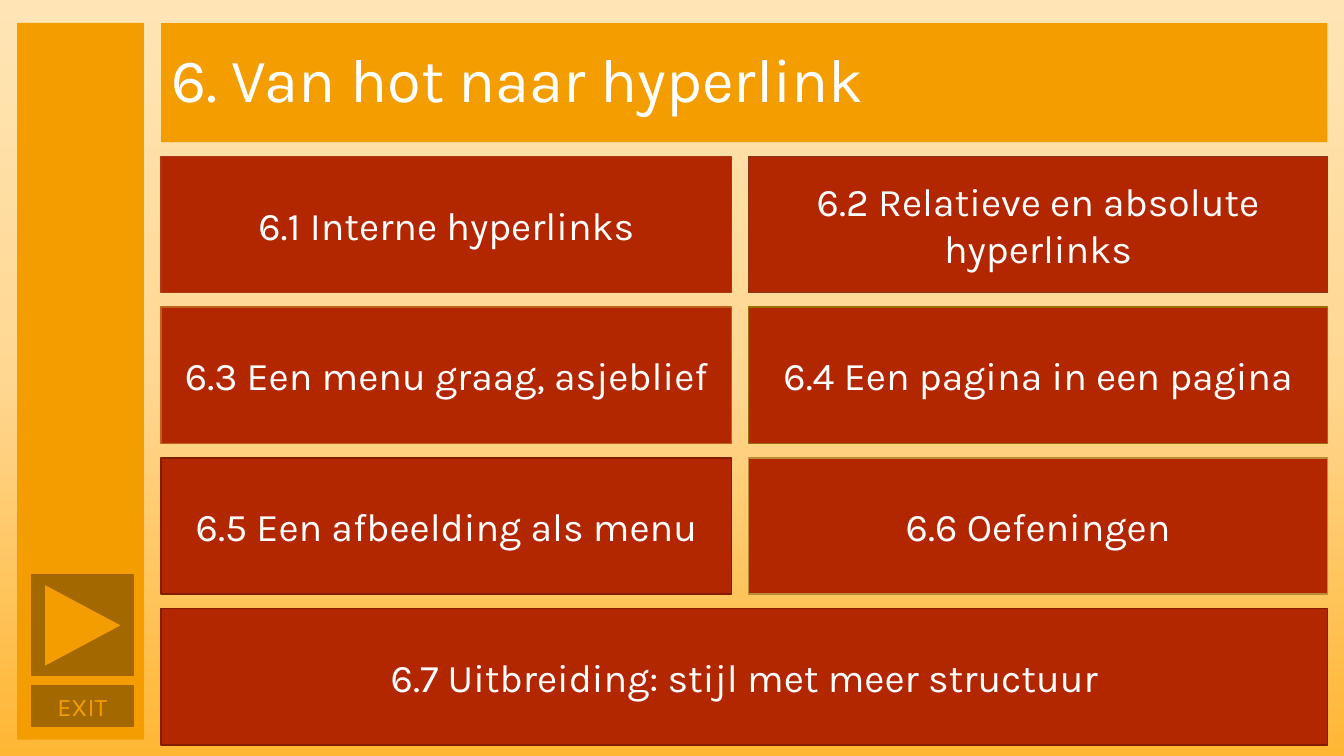
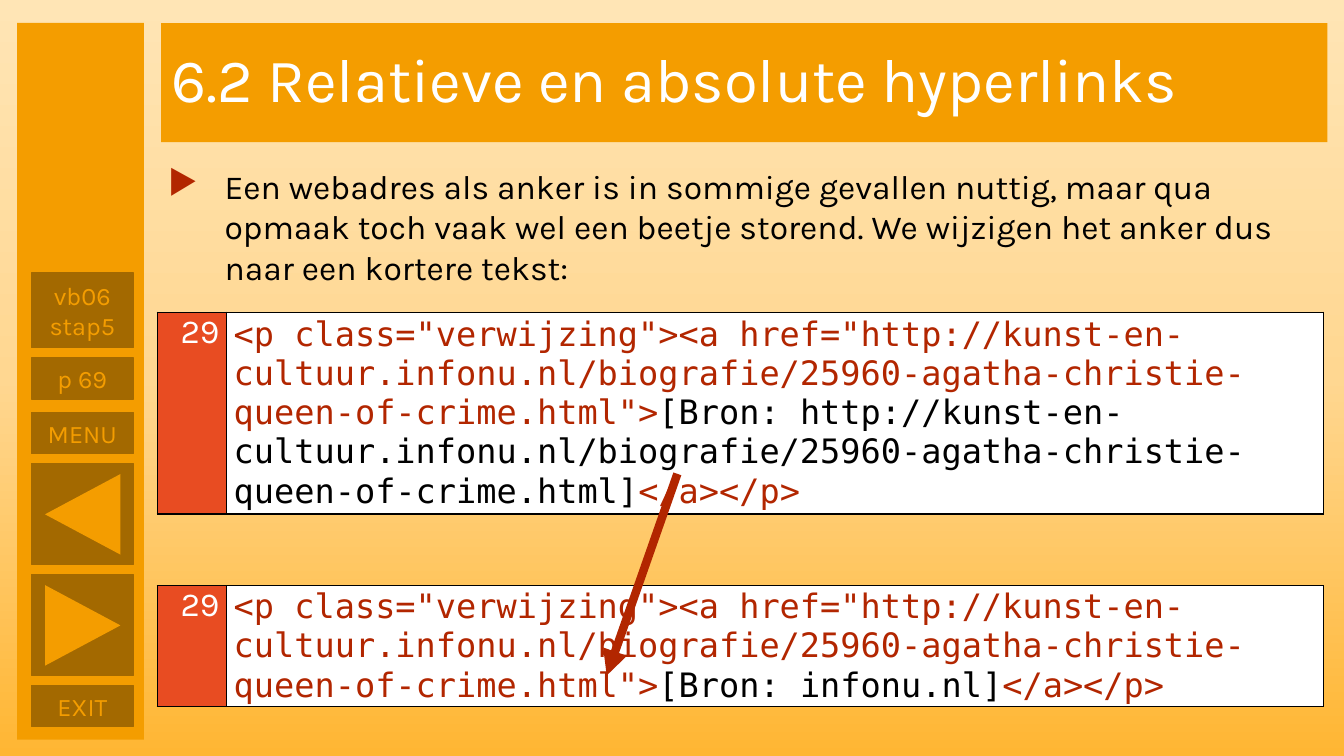
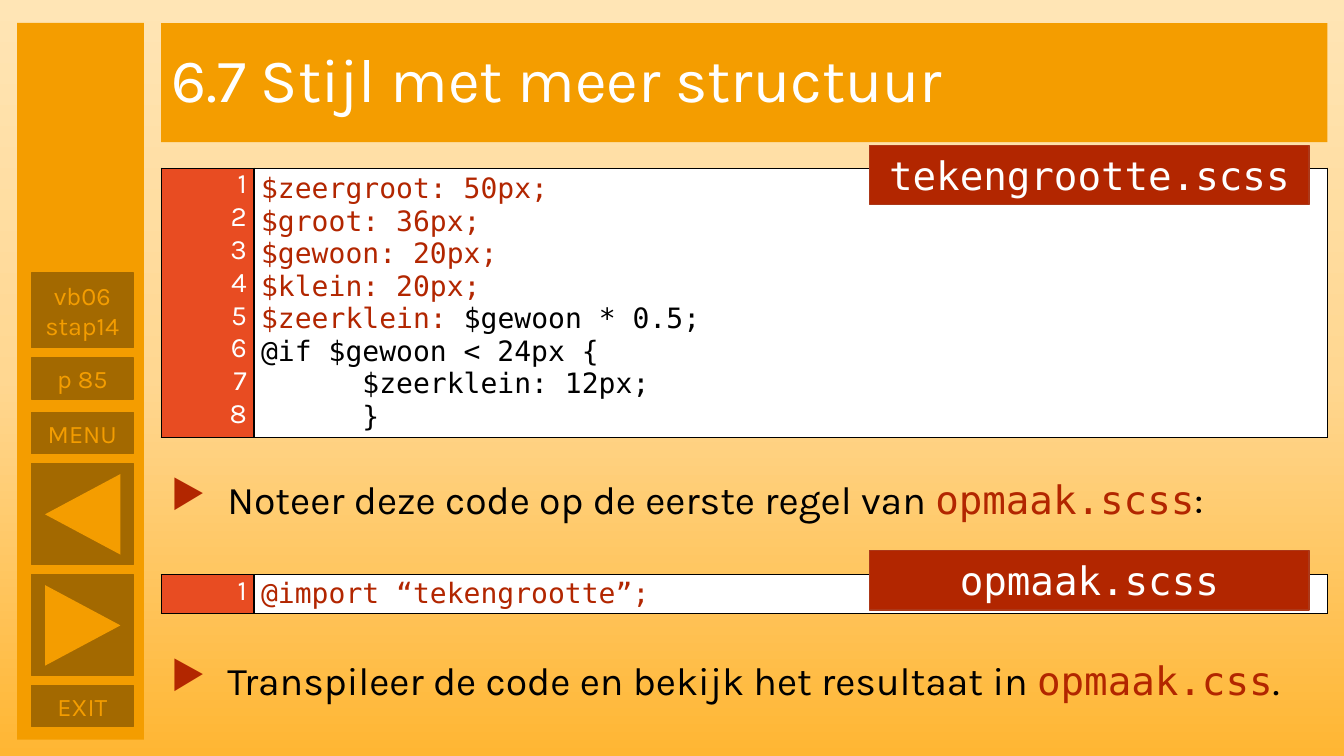
from copy import deepcopy
from dataclasses import dataclass
from typing import NamedTuple

from lxml import etree
from pptx import Presentation
from pptx.dml.color import RGBColor
from pptx.enum.shapes import MSO_CONNECTOR, MSO_SHAPE
from pptx.enum.text import MSO_ANCHOR, MSO_AUTO_SIZE, PP_ALIGN
from pptx.oxml.ns import qn
from pptx.util import Cm, Pt


@dataclass(frozen=True)
class Theme:
    orange: str = "F49D00"
    brown: str = "A36900"
    red: str = "B22600"
    label_edge: str = "AC3819"
    line_number: str = "E84C22"
    white: str = "FFFFFF"
    black: str = "000000"
    background: tuple = ((0, "FFE5B5"), (0.5, "FFD791"), (1, "FFB633"))
    font: str = "Karla"
    code_font: str = "DejaVu Sans Mono"
    title_size: int = 44
    large_size: int = 28
    body_size: int = 24
    code_size: int = 20
    button_size: int = 18


THEME = Theme()


class Box(NamedTuple):
    """A region in centimetres."""
    left: float
    top: float
    width: float
    height: float

    def lengths(self):
        return [Cm(value) for value in self]

    def inside(self, left, top, width, height):
        return Box(round(self.left + left, 2), round(self.top + top, 2), width, height)


class Piece(NamedTuple):
    """A stretch of text in one font and colour."""
    text: str
    font: str = THEME.font
    color: str = THEME.black


TITLE = Box(4.06, 0.58, 29.39, 3)
SIDEBAR = Box(0.43, 0.58, 3.2, 18.06)


def code(text, color=THEME.red):
    return Piece(text, THEME.code_font, color)


def rgb(color):
    return RGBColor.from_string(color)


# Text and shape basics
def write(text_frame, lines, size, align=PP_ALIGN.LEFT, bullet=False):
    """Fill a text frame; every line is a list of pieces."""
    text_frame.word_wrap = True
    for index, pieces in enumerate(lines):
        paragraph = text_frame.add_paragraph() if index else text_frame.paragraphs[0]
        paragraph.alignment = align
        if bullet:
            add_bullet(paragraph)
        base = pieces[0]
        paragraph.font.size = Pt(size)
        paragraph.font.name = base.font
        paragraph.font.color.rgb = rgb(base.color)
        for piece in pieces:
            run = paragraph.add_run()
            run.text = piece.text
            if piece.font != base.font:
                run.font.name = piece.font
            if piece.color != base.color:
                run.font.color.rgb = rgb(piece.color)


def add_bullet(paragraph):
    properties = paragraph._p.get_or_add_pPr()
    properties.set("marL", str(Cm(1.42)))
    properties.set("indent", str(-Cm(1.42)))
    color = etree.SubElement(properties, qn("a:buClr"))
    etree.SubElement(color, qn("a:srgbClr"), val=THEME.red)
    etree.SubElement(properties, qn("a:buChar"), char="▶")


def add_block(slide, box, fill, edge=None, kind=MSO_SHAPE.RECTANGLE):
    shape = slide.shapes.add_shape(kind, *box.lengths())
    shape.shadow.inherit = False
    shape.fill.solid()
    shape.fill.fore_color.rgb = rgb(fill)
    if edge:
        shape.line.color.rgb = rgb(edge)
        shape.line.width = Pt(1)
    else:
        shape.line.fill.background()
    return shape


def add_caption(slide, box, lines, size, fill, edge):
    """A filled box with centred text."""
    shape = add_block(slide, box, fill, edge)
    shape.text_frame.vertical_anchor = MSO_ANCHOR.MIDDLE
    write(shape.text_frame, lines, size, PP_ALIGN.CENTER)


# Parts shared by all slides
def set_background(master):
    fill = master.background.fill
    fill.gradient()
    fill.gradient_angle = 270
    stop_list = master.element.find(".//" + qn("a:gsLst"))
    stop_list.append(deepcopy(stop_list[-1]))
    for stop, (position, color) in zip(fill.gradient_stops, THEME.background):
        stop.position = position
        stop.color.rgb = rgb(color)


def add_title(slide, box, text):
    title = slide.shapes.title
    title.left, title.top, title.width, title.height = box.lengths()
    title.fill.solid()
    title.fill.fore_color.rgb = rgb(THEME.orange)
    title.text_frame.auto_size = MSO_AUTO_SIZE.NONE
    title.text_frame.vertical_anchor = MSO_ANCHOR.MIDDLE
    write(title.text_frame, [[Piece(text, color=THEME.white)]], THEME.title_size)
    title.text_frame.paragraphs[0].line_spacing = 0.9


def add_sidebar(slide, box, step=None, page=None):
    """Navigation bar; the step and page buttons only show on lesson slides."""
    add_block(slide, box, THEME.orange)
    text_buttons = [(("EXIT",), 16.69, 1.04)]
    arrow_buttons = [(13.9, 90)]
    if step:
        text_buttons += [(("MENU",), 9.81, 1.04), ((page,), 8.44, 1.04), (step, 6.3, 1.88)]
        arrow_buttons.append((11.1, 270))
    for words, top, height in text_buttons:
        lines = [[Piece(word, color=THEME.orange)] for word in words]
        add_caption(slide, box.inside(0.36, top, 2.57, height), lines,
                    THEME.button_size, THEME.brown, THEME.brown)
    for top, rotation in arrow_buttons:
        button = box.inside(0.36, top, 2.57, 2.54)
        add_block(slide, button, THEME.brown, THEME.brown)
        triangle = add_block(slide, button.inside(0.28, 0.33, 2.03, 1.9), THEME.orange,
                             kind=MSO_SHAPE.ISOSCELES_TRIANGLE)
        triangle.rotation = rotation


def new_slide(presentation, title, step=None, page=None):
    slide = presentation.slides.add_slide(presentation.slide_layouts[5])
    add_title(slide, TITLE, title)
    add_sidebar(slide, SIDEBAR, step, page)
    return slide


# Content regions
def add_bullet_text(slide, box, pieces, size):
    text_box = slide.shapes.add_textbox(*box.lengths())
    write(text_box.text_frame, [pieces], size, bullet=True)


def format_cell(cell, fill):
    cell.margin_left = cell.margin_right = Cm(0.18)
    cell.margin_top = cell.margin_bottom = 0
    cell.fill.solid()
    cell.fill.fore_color.rgb = rgb(fill)
    properties = cell._tc.get_or_add_tcPr()
    for index, side in enumerate(("a:lnL", "a:lnR", "a:lnT", "a:lnB")):
        border = etree.Element(qn(side), w=str(Pt(1)))
        line_fill = etree.SubElement(border, qn("a:solidFill"))
        etree.SubElement(line_fill, qn("a:srgbClr"), val=THEME.black)
        properties.insert(index, border)


def add_listing(slide, box, number_width, first_number, lines, size):
    """Code beside a column of line numbers."""
    table = slide.shapes.add_table(1, 2, *box.lengths()).table
    table.first_row = table.horz_banding = False
    table.columns[0].width = Cm(number_width)
    table.columns[1].width = Cm(box.width - number_width)
    number_cell, code_cell = table.rows[0].cells
    format_cell(number_cell, THEME.line_number)
    format_cell(code_cell, THEME.white)
    code_cell.vertical_anchor = MSO_ANCHOR.MIDDLE
    numbers = [[Piece(str(first_number + index), color=THEME.white)]
               for index in range(len(lines))]
    write(number_cell.text_frame, numbers, size, PP_ALIGN.RIGHT)
    write(code_cell.text_frame, lines, size)


def add_file_label(slide, box, name):
    add_caption(slide, box, [[code(name, THEME.white)]], THEME.large_size,
                THEME.red, THEME.label_edge)


def add_arrow(slide, start, end):
    arrow = slide.shapes.add_connector(
        MSO_CONNECTOR.STRAIGHT, *[Cm(value) for value in (*start, *end)])
    arrow.line.color.rgb = rgb(THEME.red)
    arrow.line.width = Pt(6)
    etree.SubElement(arrow.line._get_or_add_ln(), qn("a:tailEnd"), type="triangle")
    etree.SubElement(arrow._element.spPr, qn("a:effectLst"))


def add_chapter_menu(slide, box, entries):
    """Two columns of tiles; the last tile takes the full width."""
    widths, gap, pitch, height = (14.38, 14.58), 0.43, 3.8, 3.43
    for index, (text, edge) in enumerate(entries):
        row, column = divmod(index, 2)
        left = column * (widths[0] + gap)
        width = box.width if index == len(entries) - 1 else widths[column]
        add_caption(slide, box.inside(left, row * pitch, width, height),
                    [[Piece(text, color=THEME.white)]], THEME.large_size, THEME.red, edge)


# Slides
def menu_slide(presentation):
    slide = new_slide(presentation, "6. Van hot naar hyperlink")
    add_chapter_menu(slide, Box(4.06, 3.94, 29.39, 14.83), [
        ("6.1 Interne hyperlinks", "AC3819"),
        ("6.2 Relatieve en absolute hyperlinks", "87361C"),
        ("6.3 Een menu graag, asjeblief", "BD621D"),
        ("6.4 Een pagina in een pagina", "977100"),
        ("6.5 Een afbeelding als menu", "841C00"),
        ("6.6 Oefeningen", "BD8C35"),
        ("6.7 Uitbreiding: stijl met meer structuur", "841C00"),
    ])


def hyperlink_slide(presentation):
    slide = new_slide(presentation, "6.2 Relatieve en absolute hyperlinks",
                      ("vb06", "stap5"), "p 69")
    add_bullet_text(slide, Box(3.99, 4.06, 29.79, 3.33), [Piece(
        "Een webadres als anker is in sommige gevallen nuttig, maar qua opmaak toch "
        "vaak wel een beetje storend. We wijzigen het anker dus naar een kortere tekst:")],
        THEME.body_size)
    address = "http://kunst-en-cultuur.infonu.nl/biografie/25960-agatha-christie-queen-of-crime.html"
    for top, height, anchor in ((7.87, 5.08, address), (14.76, 3.05, "infonu.nl")):
        line = [code(f'<p class="verwijzing"><a href="{address}">'),
                code(f"[Bron: {anchor}]", THEME.black),
                code("</a></p>")]
        add_listing(slide, Box(3.96, top, 29.39, height), 1.75, 29, [line], THEME.body_size)
    add_arrow(slide, (17.07, 11.94), (15.29, 17.02))


def structure_slide(presentation):
    slide = new_slide(presentation, "6.7 Stijl met meer structuur",
                      ("vb06", "stap14"), "p 85")
    variables = [
        [code("$zeergroot: 50px;")],
        [code("$groot: 36px;")],
        [code("$gewoon: 20px;")],
        [code("$klein: 20px;")],
        [code("$zeerklein: "), code("$gewoon * 0.5;", THEME.black)],
        [code("@if $gewoon < 24px {", THEME.black)],
        [code("      $zeerklein: 12px;", THEME.black)],
        [code("      }", THEME.black)],
    ]
    listings = (
        (4.24, 6.78, variables, 3.66, "tekengrootte.scss"),
        (14.48, 0.97, [[code("@import “tekengrootte”;")]], 13.87, "opmaak.scss"),
    )
    for top, height, lines, label_top, name in listings:
        add_listing(slide, Box(4.06, top, 29.39, height), 2.34, 1, lines, THEME.code_size)
        add_file_label(slide, Box(21.92, label_top, 11.07, 1.5), name)
    instructions = (
        (11.86, "Noteer deze code op de eerste regel van ", "opmaak.scss", ":"),
        (16.41, "Transpileer de code en bekijk het resultaat in ", "opmaak.css", "."),
    )
    for top, lead, name, ending in instructions:
        add_bullet_text(slide, Box(4.06, top, 29.39, 1.45),
                        [Piece(lead), code(name), Piece(ending)], THEME.large_size)


def main():
    presentation = Presentation()
    presentation.slide_width, presentation.slide_height = Cm(33.87), Cm(19.05)
    set_background(presentation.slide_master)
    menu_slide(presentation)
    hyperlink_slide(presentation)
    structure_slide(presentation)
    presentation.save("out.pptx")


if __name__ == "__main__":
    main()
